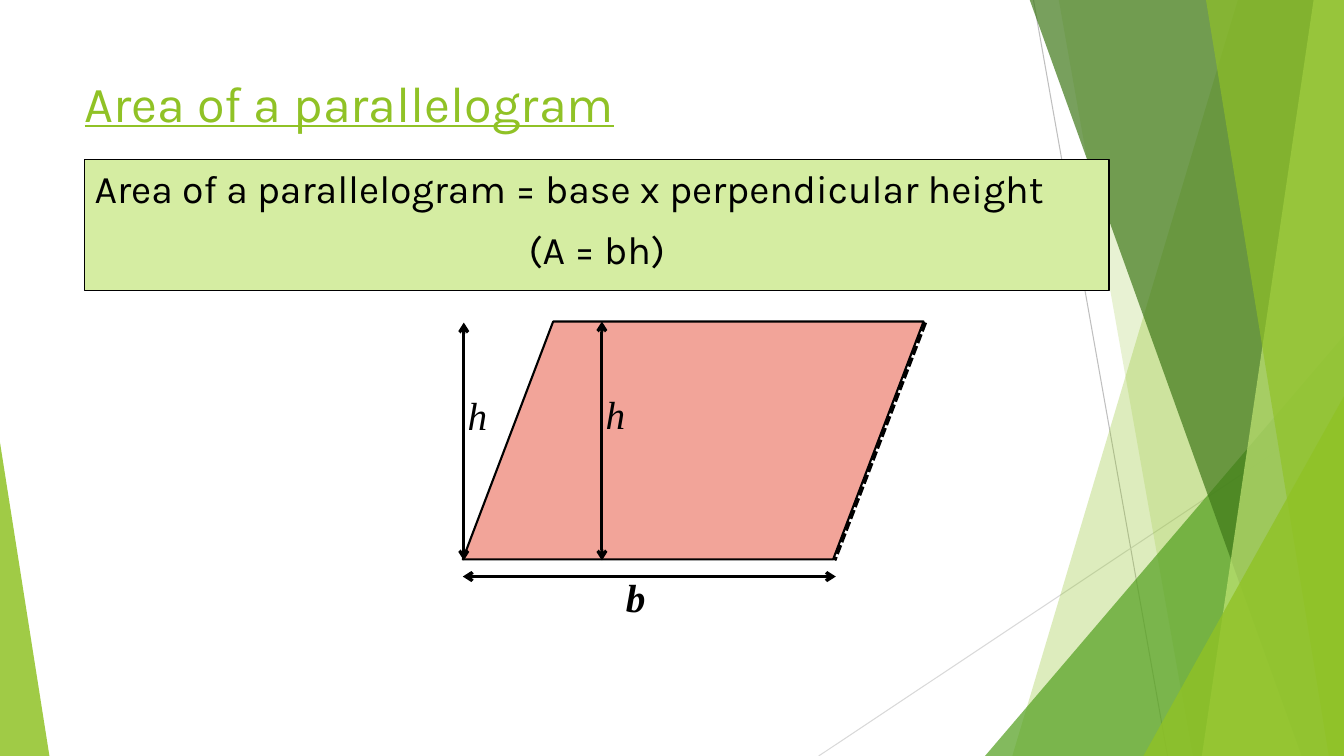
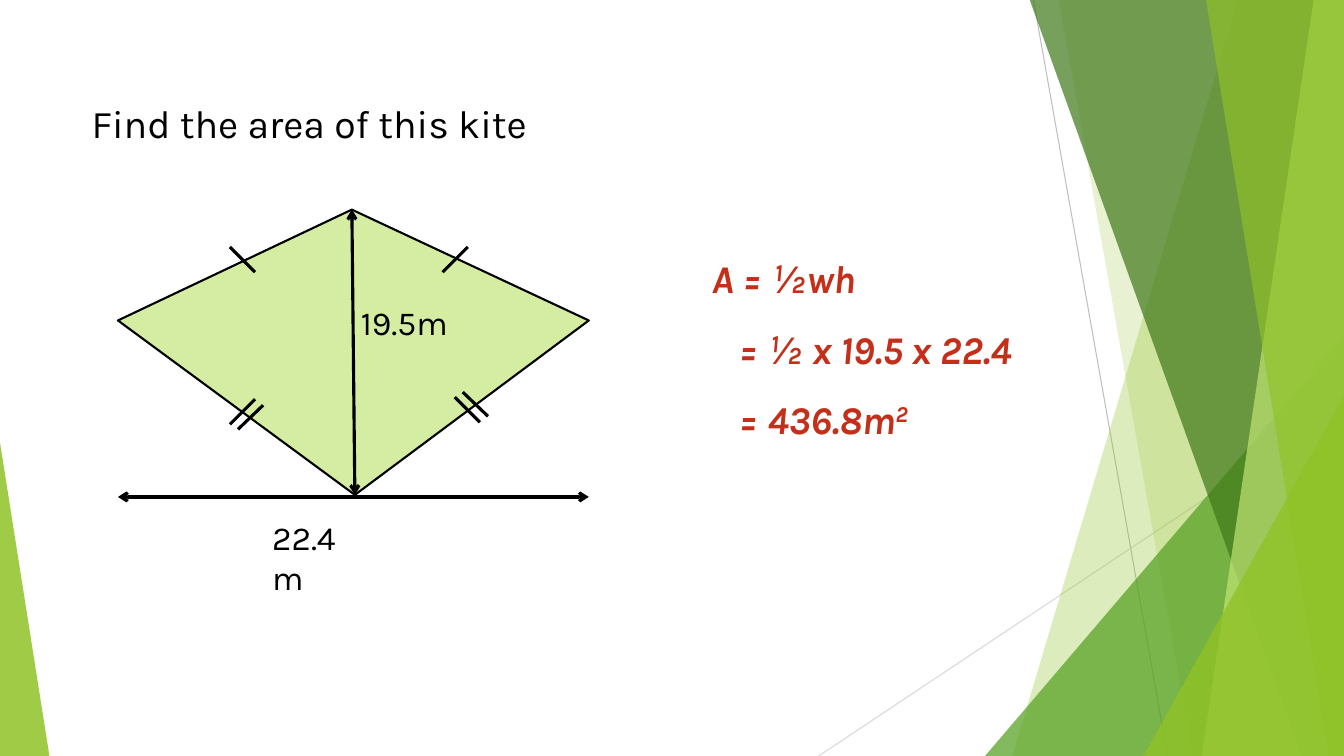
from lxml import etree
from pptx import Presentation
from pptx import util as u
from pptx.dml.color import RGBColor
from pptx.enum import dml, shapes, text
from pptx.oxml.ns import qn

PX = 9144  # EMU in one px, 100 px to the inch
W, H = 1333, 750
BLACK, WHITE, RED = "000000", "FFFFFF", "C42F1A"
GREEN, PALE_GREEN, PINK = "90C226", "D5EDA2", "F2A499"
SANS, SERIF = "Karla", "Times New Roman"


def style(sp, fill=None, line=None, width=1.5, alpha=100, arrows=False, dash=False):
    """Set the fill and line of a shape or connector, and take away its shadow."""
    spPr = sp._element.spPr
    if fill:
        sp.fill.solid()
        sp.fill.fore_color.rgb = RGBColor.from_string(fill)
        if alpha < 100:
            clr = spPr.find(".//" + qn("a:srgbClr"))
            etree.SubElement(clr, qn("a:alpha")).set("val", str(alpha * 1000))
    if line:
        sp.line.color.rgb = RGBColor.from_string(line)
        sp.line.width = u.Pt(width)
    else:
        sp.line.fill.background()
    if dash:
        sp.line.dash_style = dml.MSO_LINE.SQUARE_DOT
    if arrows:
        for end in ("a:headEnd", "a:tailEnd"):
            etree.SubElement(sp.line._get_or_add_ln(), qn(end)).set("type", "arrow")
    etree.SubElement(spPr, qn("a:effectLst"))


def write(tf, paragraphs, size, color=BLACK, font=SANS, **looks):
    """Fill a text frame; each paragraph is a list of its runs."""
    tf.word_wrap = True
    tf.vertical_anchor = text.MSO_ANCHOR.TOP
    for i, runs in enumerate(paragraphs):
        p = tf.paragraphs[0] if i == 0 else tf.add_paragraph()
        p.alignment = text.PP_ALIGN.LEFT
        for words in runs:
            r = p.add_run()
            r.text = words
            r.font.name, r.font.size = font, u.Pt(size)
            r.font.color.rgb = RGBColor.from_string(color)
            for look, value in looks.items():
                setattr(r.font, look, value)


prs = Presentation()
prs.slide_width, prs.slide_height = W * PX, H * PX
layout = prs.slide_layouts[6]
for placeholder in list(layout.placeholders):
    placeholder._element.getparent().remove(placeholder._element)
parallelogram_slide, kite_slide = [prs.slides.add_slide(layout) for _ in range(2)]

# Green bands, drawn once and moved into the shared layout
s = parallelogram_slide
for x1, y1, x2, y2, color in [(1025, 0, 1158, H, "BFBFBF"), (W, 403, 812, H, "D9D9D9")]:
    sp = s.shapes.add_connector(
        shapes.MSO_CONNECTOR.STRAIGHT, x1 * PX, y1 * PX, x2 * PX, y2 * PX)
    style(sp, line=color, width=0.75)

# A band is (top x, bottom x); a triangle is (left, top, width, apex)
for outline, color, alpha in [
    ((1228, 1004), GREEN, 30),
    ((1050, 1183), GREEN, 20),
    ((977, 333, 356, 1), "54A021", 72),
    ((1021, 1291), "3F7819", 70),
    ((1303, 1192), "C0E474", 70),
    ((1196, 1318), GREEN, 65),
    ((1134, 393, 199, 1), GREEN, 80),
    ((0, 439, 49, 0), GREEN, 85),
]:
    if len(outline) == 2:
        top_x, bottom_x = outline
        builder = s.shapes.build_freeform(top_x, -1, scale=float(PX))
        builder.add_line_segments([(W, -1), (W, H), (bottom_x, H)])
        sp = builder.convert_to_shape()
    else:
        x, y, w, apex = outline
        sp = s.shapes.add_shape(
            shapes.MSO_SHAPE.ISOSCELES_TRIANGLE, x * PX, y * PX, w * PX, (H - y) * PX)
        sp.adjustments[0] = apex
    style(sp, fill=color, alpha=alpha)
for sp in list(s.shapes):
    layout.shapes._spTree.append(sp._element)

# Formula and figures
formula = s.shapes.add_shape(
    shapes.MSO_SHAPE.RECTANGLE, 84 * PX, 158 * PX, 1016 * PX, 130 * PX)
style(formula, PALE_GREEN, BLACK, 0.75)
write(formula.text_frame,
      [["Area of a parallelogram = base x perpendicular height"], ["(A = bh)"]], 28)
p = formula.text_frame.paragraphs[1]
p.alignment = text.PP_ALIGN.CENTER
p.space_before = u.Pt(10)

parallelogram = s.shapes.add_shape(
    shapes.MSO_SHAPE.PARALLELOGRAM, 459 * PX, 319 * PX, 457 * PX, 236 * PX)
parallelogram.adjustments[0] = 0.38
style(parallelogram, PINK, BLACK)

builder = kite_slide.shapes.build_freeform(117, 318, scale=float(PX))
builder.add_line_segments([(349, 208), (584, 318), (352, 491)])
style(builder.convert_to_shape(), PALE_GREEN, BLACK)

# Dimension arrows, the dashed edge and the equal-side ticks
arrow, dashed, tick = {"arrows": True}, {"dash": True}, {}
for s, kind, strokes in [
    (parallelogram_slide, dashed, [(918, 320, 828, 556)]),
    (parallelogram_slide, arrow,
     [(460, 320, 460, 556), (829, 572, 459, 572), (597, 319, 597, 556)]),
    (kite_slide, tick,
     [(228, 245, 253, 270), (464, 245, 439, 270), (476, 419, 451, 394),
      (484, 413, 459, 389), (236, 426, 261, 402), (228, 421, 253, 396)]),
    (kite_slide, arrow, [(349, 208, 352, 491), (117, 493, 584, 493)]),
]:
    for stroke in strokes:
        sp = s.shapes.add_connector(
            shapes.MSO_CONNECTOR.STRAIGHT, *[v * PX for v in stroke])
        style(sp, line=BLACK, width=2.25, **kind)

# Titles, dimension labels and the worked answer
letter = {"size": 28, "font": SERIF, "italic": True}
working = [["A = ½wh"], ["= ½ x 19.5 x 22.4"], ["= 436.8m", "2"]]
for s, x, y, w, h, paragraphs, looks in [
    (parallelogram_slide, 74, 67, 940, 144, [["Area of a parallelogram"]],
     {"size": 36, "color": GREEN, "underline": True}),
    (parallelogram_slide, 454, 383, 50, 57, [["h"]], letter),
    (parallelogram_slide, 591, 382, 50, 57, [["h"]], letter),
    (parallelogram_slide, 611, 564, 50, 57, [["b"]], {**letter, "bold": True}),
    (kite_slide, 81, 94, 480, 57, [["Find the area of this kite"]], {"size": 28}),
    (kite_slide, 260, 508, 95, 90, [["22.4m"]], {"size": 24}),
    (kite_slide, 348, 295, 125, 50, [["19.5m"]], {"size": 24}),
    (kite_slide, 696, 224, 383, 213, working,
     {"size": 28, "color": RED, "bold": True, "italic": True}),
]:
    answer = s.shapes.add_textbox(x * PX, y * PX, w * PX, h * PX)
    write(answer.text_frame, paragraphs, **looks)

for i, p in enumerate(answer.text_frame.paragraphs):
    p.line_spacing = 1.5
    if i > 0:
        p._p.get_or_add_pPr().set("marL", str(27 * PX))
p.runs[1]._r.get_or_add_rPr().set("baseline", "30000")

prs.save("out.pptx")
